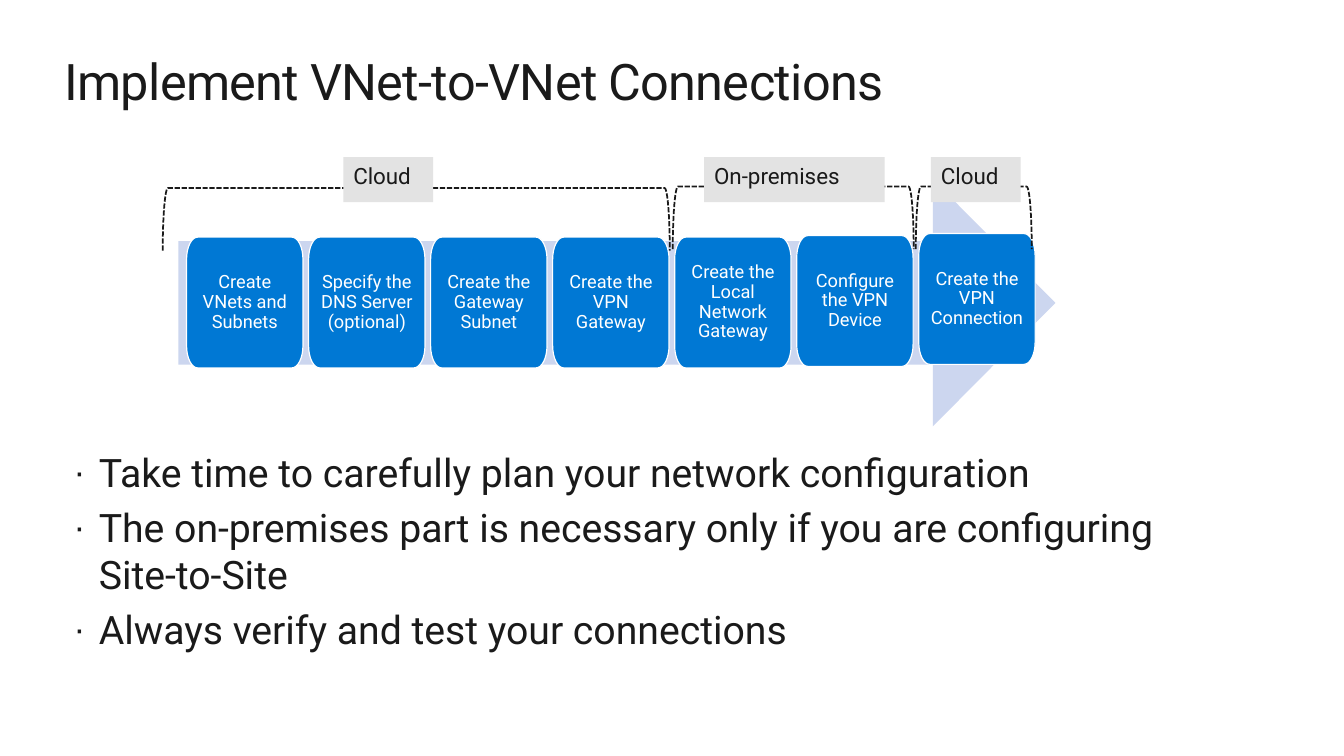
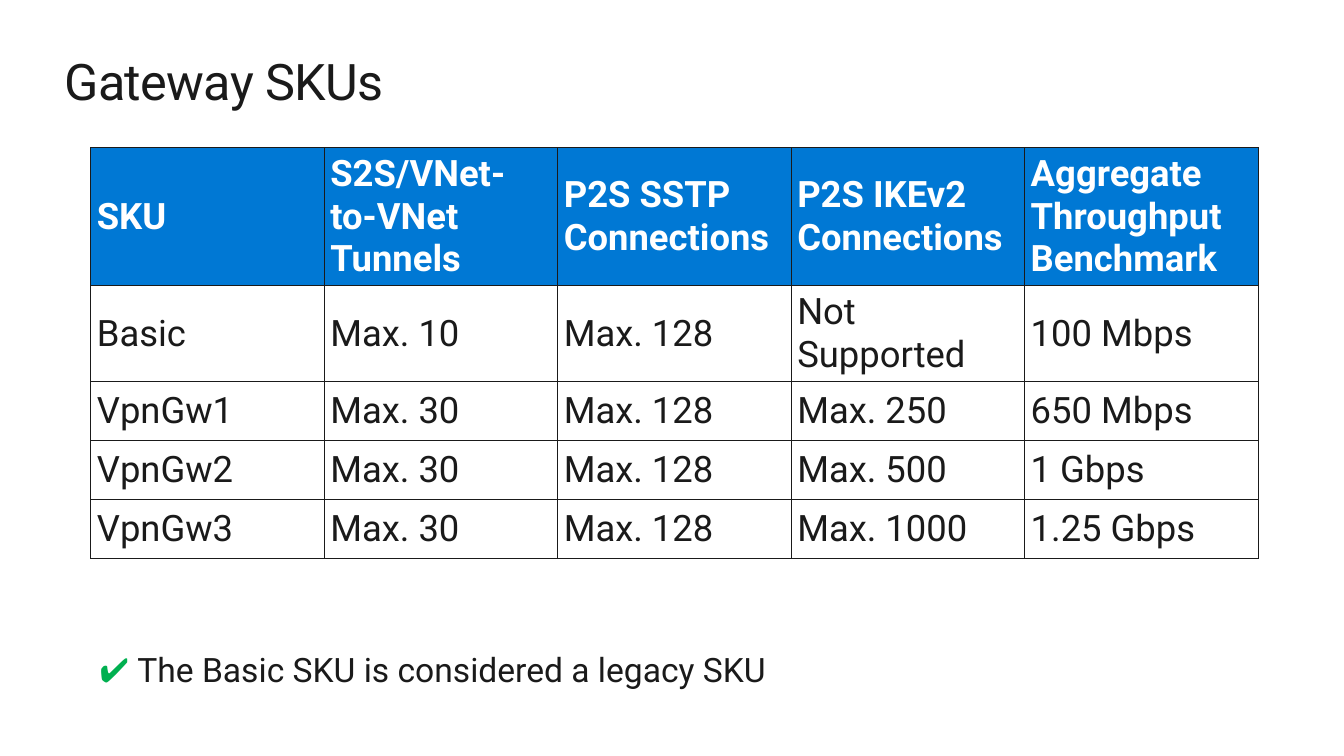
from dataclasses import dataclass

from lxml import etree
from pptx import Presentation
from pptx.dml.color import RGBColor
from pptx.enum.dml import MSO_LINE
from pptx.enum.shapes import MSO_SHAPE
from pptx.enum.text import MSO_ANCHOR, MSO_AUTO_SIZE, PP_ALIGN
from pptx.oxml.ns import qn
from pptx.util import Inches, Pt

LEFT, CENTER = PP_ALIGN.LEFT, PP_ALIGN.CENTER
TOP, MIDDLE = MSO_ANCHOR.TOP, MSO_ANCHOR.MIDDLE
RIGHT_ARROW, BRACKET, RECT = MSO_SHAPE.RIGHT_ARROW, MSO_SHAPE.RIGHT_BRACKET, MSO_SHAPE.RECTANGLE
TITLE_AND_CONTENT, TITLE_ONLY = 1, 5


@dataclass(frozen=True)
class Theme:
    font: str = "Roboto"
    ink: str = "1A1A1A"
    white: str = "FFFFFF"
    blue: str = "0078D4"
    pale: str = "CCD6EF"
    grey: str = "E3E3E3"
    green: str = "00B050"
    title: float = 36
    body: float = 28
    table: float = 26
    note: float = 24
    tag: float = 16
    step: float = 13


T = Theme()
prs = Presentation()
prs.slide_width, prs.slide_height = Pt(960), Pt(540)
W, H = prs.slide_width, prs.slide_height


def box(left, top, width, height):
    """Turn percentages of the slide into left, top, width and height in EMU."""
    return [round(share * side / 100) for share, side in zip((left, top, width, height), (W, H, W, H))]


def write(p, text, size, color=T.ink, bold=False, align=LEFT):
    """Append a formatted run to the paragraph."""
    p.alignment = align
    r = p.add_run()
    r.text = text
    for name, value in {"name": T.font, "size": Pt(size), "bold": bold}.items():
        setattr(r.font, name, value)
    r.font.color.rgb = RGBColor.from_string(color)
    return r


# Shared title and body frames
frame = {"margin_left": 0, "margin_top": 0, "margin_right": 0, "margin_bottom": 0,
         "vertical_anchor": TOP, "word_wrap": True, "auto_size": MSO_AUTO_SIZE.NONE}
slides = []
for layout, title in ((TITLE_AND_CONTENT, "Implement VNet-to-VNet Connections"),
                      (TITLE_ONLY, "Gateway SKUs")):
    s = prs.slides.add_slide(prs.slide_layouts[layout])
    slides.append(s)
    sp = s.shapes.title
    sp.left, sp.top, sp.width, sp.height = box(4.8, 6.67, 90.38, 8.13)
    for name, value in frame.items():
        setattr(sp.text_frame, name, value)
    r = write(sp.text_frame.paragraphs[0], title, T.title)
    r.font._element.set("spc", "-50")

# Slide 1: bullet list
s = slides[0]
sp = s.placeholders[1]
sp.left, sp.top, sp.width, sp.height = box(5.48, 59.33, 80.85, 27.6)
tf = sp.text_frame
for name, value in frame.items():
    setattr(tf, name, value)
bullets = ("Take time to carefully plan your network configuration",
           "The on-premises part is necessary only if you are configuring Site-to-Site",
           "Always verify and test your connections")
for i, text in enumerate(bullets):
    p = tf.add_paragraph() if i else tf.paragraphs[0]
    write(p, text, T.body)
    p.space_before = Pt(T.body * 0.2)
    pPr = p._p.get_or_add_pPr()
    pPr.set("marL", str(Inches(0.25)))
    pPr.set("indent", str(-Inches(0.25)))
    etree.SubElement(pPr, qn("a:buSzPct"), val="90000")
    etree.SubElement(pPr, qn("a:buChar"), char="·")

# Slide 1: process arrow with its steps
sp = s.shapes.add_shape(RIGHT_ARROW, *box(13.28, 23.73, 65.25, 32.67))
sp.shadow.inherit = False
sp.adjustments[1] = 0.496
sp.fill.solid()
sp.fill.fore_color.rgb = RGBColor.from_string(T.pale)
sp.line.fill.background()

steps = (("Create VNets and Subnets", 31.37), ("Specify the DNS Server (optional)", 31.37),
         ("Create the Gateway Subnet", 31.37), ("Create the VPN Gateway", 31.37),
         ("Create the Local Network Gateway", 31.37), ("Configure the VPN Device", 31.17),
         ("Create the VPN Connection", 30.9))
rx, ry = Inches(0.11), Inches(0.22)
ROUNDNESS = 0.55
for i, (text, top) in enumerate(steps):
    x, y, w, h = box(13.88 + 9.08 * i, top, 8.66, 17.3)
    corners = ((0, 0), (w, 0), (w, h), (0, h))
    outline = [(0, ry), (rx, 0), (w - rx, 0), (w, ry), (w, h - ry), (w - rx, h), (rx, h), (0, h - ry)]
    builder = s.shapes.build_freeform(*outline[0])
    builder.add_line_segments(outline[1:], close=True)
    sp = builder.convert_to_shape(x, y)
    # Every second segment cuts a corner: bend it into a curve
    cuts = list(sp._element.iter(qn("a:lnTo")))[::2]
    for cut, corner, start, end in zip(cuts, corners, outline[::2], outline[1::2]):
        curve = etree.Element(qn("a:cubicBezTo"))
        controls = [[round(a + ROUNDNESS * (c - a)) for a, c in zip(point, corner)] for point in (start, end)]
        for px, py in (*controls, end):
            etree.SubElement(curve, qn("a:pt"), x=str(px), y=str(py))
        cut.getparent().replace(cut, curve)
    sp.shadow.inherit = False
    sp.fill.solid()
    sp.fill.fore_color.rgb = RGBColor.from_string(T.blue)
    sp.line.color.rgb = RGBColor.from_string(T.white)
    sp.line.width = Pt(0.85)
    tf = sp.text_frame
    for side in ("left", "top", "right", "bottom"):
        setattr(tf, f"margin_{side}", Inches(0.09))
    tf.word_wrap, tf.vertical_anchor = True, MIDDLE
    p = tf.paragraphs[0]
    p.line_spacing = 0.9
    write(p, text, T.step, T.white, align=CENTER)

# Slide 1: dashed brackets, each with a place tag
places = (("Cloud", (12.11, 24.87, 37.73), (25.55, 6.68)),
          ("Cloud", (68.14, 24.67, 8.63), (69.27, 6.68)),
          ("On-premises", (50.06, 24.67, 17.93), (52.4, 13.43)))
for text, (left, top, span), (tag_left, tag_width) in places:
    x, y, w, h = box(left, top, span, 8.27)
    # The bracket is turned a quarter, so its frame has width and height swapped
    sp = s.shapes.add_shape(BRACKET, x + (w - h) // 2, y + (h - w) // 2, h, w)
    sp.shadow.inherit = False
    sp.rotation = 270
    sp.fill.background()
    sp.line.color.rgb = RGBColor.from_string(T.ink)
    sp.line.width = Pt(1.25)
    sp.line.dash_style = MSO_LINE.SQUARE_DOT

    sp = s.shapes.add_shape(RECT, *box(tag_left, 20.8, tag_width, 5.95))
    sp.shadow.inherit = False
    sp.fill.solid()
    sp.fill.fore_color.rgb = RGBColor.from_string(T.grey)
    sp.line.fill.background()
    sp.text_frame.vertical_anchor = TOP
    write(sp.text_frame.paragraphs[0], text, T.tag)

# Slide 2: table of gateway sizes
s = slides[1]
rows = (("SKU", "S2S/VNet-to-VNet Tunnels", "P2S SSTP Connections", "P2S IKEv2 Connections",
         "Aggregate Throughput Benchmark"),
        ("Basic", "Max. 10", "Max. 128", "Not Supported", "100 Mbps"),
        ("VpnGw1", "Max. 30", "Max. 128", "Max. 250", "650 Mbps"),
        ("VpnGw2", "Max. 30", "Max. 128", "Max. 500", "1 Gbps"),
        ("VpnGw3", "Max. 30", "Max. 128", "Max. 1000", "1.25 Gbps"))
row_shares = (18.27, 12.53, 7.8, 7.8, 7.8)
cell_format = {"margin_left": Inches(0.06), "margin_right": Inches(0.06),
               "margin_top": Inches(0.05), "margin_bottom": Inches(0.05), "vertical_anchor": MIDDLE}
table = s.shapes.add_table(len(rows), len(rows[0]), *box(6.76, 19.55, 86.87, sum(row_shares))).table
table.first_row = table.horz_banding = False
for i, (row, share) in enumerate(zip(rows, row_shares)):
    header = i == 0
    table.rows[i].height = round(H * share / 100)
    for j, text in enumerate(row):
        cell = table.cell(i, j)
        for name, value in cell_format.items():
            setattr(cell, name, value)
        write(cell.text_frame.paragraphs[0], text, T.table, T.white if header else T.ink, header)
        if header:
            cell.fill.solid()
            cell.fill.fore_color.rgb = RGBColor.from_string(T.blue)
        else:
            cell.fill.background()
        tcPr = cell._tc.get_or_add_tcPr()
        for k, edge in enumerate(("lnL", "lnR", "lnT", "lnB")):
            ln = etree.Element(qn(f"a:{edge}"), w=str(Pt(1)))
            fill = etree.SubElement(ln, qn("a:solidFill"))
            etree.SubElement(fill, qn("a:srgbClr"), val=T.ink)
            tcPr.insert(k, ln)

# Slide 2: note
tf = s.shapes.add_textbox(*box(6.68, 85.2, 52.2, 6.67)).text_frame
tf.word_wrap = False
for text, color in (("✔️ ", T.green), ("The Basic SKU is considered a legacy SKU", T.ink)):
    write(tf.paragraphs[0], text, T.note, color)

prs.save("out.pptx")
